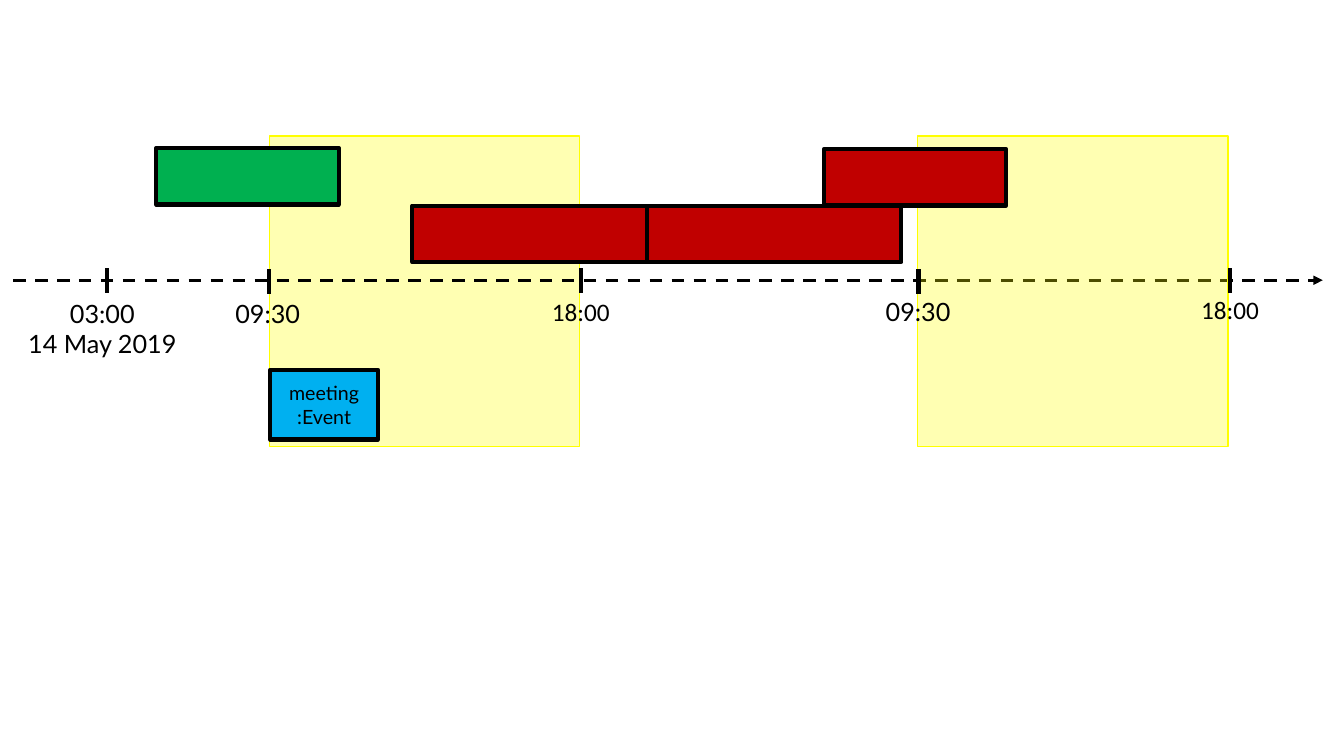
from dataclasses import dataclass

import lxml.etree
import pptx
import pptx.dml.color
import pptx.enum.dml
import pptx.enum.shapes
import pptx.enum.text
import pptx.oxml.ns
import pptx.presentation
import pptx.shapes.autoshape
import pptx.shapes.connector
import pptx.slide
import pptx.text.text
import pptx.util

"""Draw a timeline of events against two spans of working hours."""

BLACK = "000000"
YELLOW = "FFFF00"
GREEN = "00B050"
RED = "C00000"
BLUE = "00B0F0"
AXIS_Y = 2.78
TICK_HEIGHT = 0.25


@dataclass
class Block:
    left: float
    top: float
    width: float
    height: float
    fill: str
    line: str = BLACK
    line_width: float = 3
    opacity: int = 100


@dataclass
class Label:
    left: float
    top: float
    width: float
    height: float
    lines: list[str]
    font: str


WORKING_HOURS = [
    Block(left, 1.35, 3.08, 3.08, YELLOW, YELLOW, 1, 30) for left in (2.67, 9.1)
]
EVENTS = [
    Block(1.55, 1.47, 1.81, 0.56, GREEN),
    Block(4.09, 2.04, 2.35, 0.56, RED),
    Block(8.17, 1.48, 1.81, 0.56, RED),
    Block(6.42, 2.04, 2.52, 0.56, RED),
]
MEETING = Block(2.68, 3.67, 1.07, 0.69, BLUE)
TICKS = [(1.06, 2.66), (2.67, 2.67), (5.76, 2.66), (9.11, 2.67), (12.2, 2.66)]
LABELS = [
    Label(2.23, 2.91, 0.85, 0.4, ["09:30"], "Lato"),
    Label(5.37, 2.89, 0.78, 0.4, ["18:00"], "Calibri"),
    Label(0.16, 2.91, 1.71, 0.71, ["03:00", "14 May 2019"], "Lato"),
    Label(8.68, 2.89, 0.85, 0.4, ["09:30"], "Lato"),
    Label(11.81, 2.87, 0.78, 0.4, ["18:00"], "Calibri"),
]


def colour(value: str) -> pptx.dml.color.RGBColor:
    return pptx.dml.color.RGBColor.from_string(value)


def add_child(parent: lxml.etree.ElementBase, tag: str, **attributes: str) -> None:
    child = lxml.etree.SubElement(parent, pptx.oxml.ns.qn(tag))
    for name, value in attributes.items():
        child.set(name, value)


def write(
    frame: pptx.text.text.TextFrame, lines: list[str], font: str, size: float
) -> None:
    frame.text = "\n".join(lines)
    for para in frame.paragraphs:
        para.alignment = pptx.enum.text.PP_ALIGN.CENTER
        para.font.name = font
        para.font.size = pptx.util.Pt(size)
        para.font.color.rgb = colour(BLACK)


def add_block(
    page: pptx.slide.Slide, block: Block
) -> pptx.shapes.autoshape.Shape:
    shape = page.shapes.add_shape(
        pptx.enum.shapes.MSO_SHAPE.RECTANGLE,
        pptx.util.Inches(block.left),
        pptx.util.Inches(block.top),
        pptx.util.Inches(block.width),
        pptx.util.Inches(block.height),
    )
    shape.shadow.inherit = False
    shape.fill.solid()
    shape.fill.fore_color.rgb = colour(block.fill)
    shape.line.color.rgb = colour(block.line)
    shape.line.width = pptx.util.Pt(block.line_width)
    if block.opacity < 100:
        fill = shape.element.spPr.find(pptx.oxml.ns.qn("a:solidFill"))
        add_child(fill[0], "a:alpha", val=str(block.opacity * 1000))
    return shape


def add_line(
    page: pptx.slide.Slide,
    start: tuple[float, float],
    end: tuple[float, float],
    width: float,
) -> pptx.shapes.connector.Connector:
    line = page.shapes.add_connector(
        pptx.enum.shapes.MSO_CONNECTOR.STRAIGHT,
        *(pptx.util.Inches(value) for value in start + end),
    )
    line.line.color.rgb = colour(BLACK)
    line.line.width = pptx.util.Pt(width)
    add_child(line.element.spPr, "a:effectLst")
    return line


def add_axis(page: pptx.slide.Slide) -> None:
    axis = add_line(page, (0.13, AXIS_Y), (13.12, AXIS_Y), 2.25)
    axis.line.dash_style = pptx.enum.dml.MSO_LINE.DASH
    outline = axis.element.spPr.find(pptx.oxml.ns.qn("a:ln"))
    add_child(outline, "a:tailEnd", type="triangle")


def add_label(page: pptx.slide.Slide, label: Label) -> None:
    box = page.shapes.add_textbox(
        pptx.util.Inches(label.left),
        pptx.util.Inches(label.top),
        pptx.util.Inches(label.width),
        pptx.util.Inches(label.height),
    )
    box.text_frame.word_wrap = False
    box.text_frame.auto_size = pptx.enum.text.MSO_AUTO_SIZE.SHAPE_TO_FIT_TEXT
    write(box.text_frame, label.lines, label.font, 18)


def build() -> pptx.presentation.Presentation:
    deck = pptx.Presentation()
    deck.slide_width = pptx.util.Inches(13.33)
    deck.slide_height = pptx.util.Inches(7.5)
    page = deck.slides.add_slide(deck.slide_layouts[6])

    first_day, second_day = WORKING_HOURS
    add_block(page, first_day)
    add_axis(page)
    add_block(page, second_day)
    for event in EVENTS:
        add_block(page, event)
    for left, top in TICKS:
        add_line(page, (left, top), (left, top + TICK_HEIGHT), 3)
    for label in LABELS:
        add_label(page, label)

    meeting = add_block(page, MEETING)
    meeting.text_frame.vertical_anchor = pptx.enum.text.MSO_ANCHOR.MIDDLE
    write(meeting.text_frame, ["meeting", ":Event"], "Lato", 14)
    return deck


if __name__ == "__main__":
    build().save("out.pptx")
